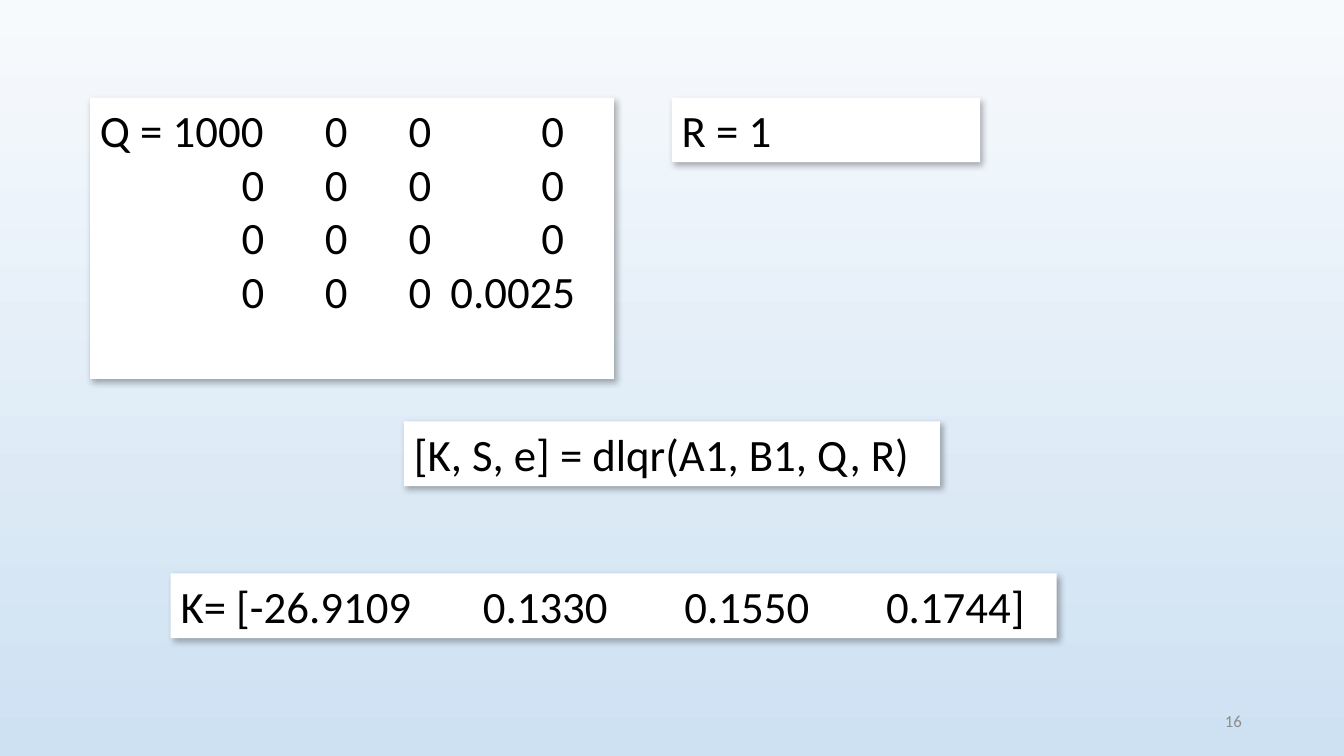
from lxml.etree import SubElement
from pptx import Presentation
from pptx.dml.color import RGBColor
from pptx.enum.shapes import MSO_SHAPE
from pptx.enum.text import MSO_ANCHOR, PP_ALIGN
from pptx.oxml.ns import qn
from pptx.util import Cm, Pt


def color(code):
    return RGBColor.from_string(code)


def write(par, text, size, code, align):
    par.alignment = align
    run = par.add_run()
    run.text = text
    run.font.size = Pt(size)
    run.font.name = "Calibri"
    run.font.color.rgb = color(code)


deck = Presentation()
deck.slide_width, deck.slide_height = Cm(33.87), Cm(19.05)
slide = deck.slides.add_slide(deck.slide_layouts[6])

# Background: pale blue, darker toward the bottom
back = slide.background.fill
back.gradient()
back.gradient_angle = 270
for stop, code in zip(back.gradient_stops, ("F7FAFD", "CEE1F2")):
    stop.color.rgb = color(code)

# Cards: left, top, width, height, lines; a line is text, tab kind, tab stops
cols = [4.14, 6.24, 8.35, 11.7]
zeros = ("\t0\t0\t0\t0", "r", cols)
cards = [
    (2.27, 2.46, 13.2, 7.09, [
        ("Q = 1000\t0\t0\t0", "r", cols[1:]),
        zeros,
        zeros,
        ("\t0\t0\t0\t0.0025", "r", cols[:3] + [11.98]),
    ]),
    (16.93, 2.46, 7.77, 1.63, [("R = 1", "l", [])]),
    (10.18, 10.62, 13.51, 1.63, [("[K, S, e] = dlqr(A1, B1, Q, R)", "l", [])]),
    (4.3, 14.45, 22.33, 1.63, [
        ("K= [-26.9109\t0.1330\t0.1550\t0.1744]", "l", [7.62, 12.7, 17.78]),
    ]),
]

for left, top, width, height, lines in cards:
    card = slide.shapes.add_shape(
        MSO_SHAPE.RECTANGLE, Cm(left), Cm(top), Cm(width), Cm(height))
    card.fill.solid()
    card.fill.fore_color.rgb = color("FFFFFF")
    card.line.fill.background()

    # Soft shadow to the lower right
    card.shadow.inherit = False
    effects = card._element.spPr.find(qn("a:effectLst"))
    shade = SubElement(effects, qn("a:outerShdw"), blurRad=str(Pt(4.5)),
                       dist=str(Pt(2.6)), dir=str(53 * 60000),
                       algn="ctr", rotWithShape="0")
    black = SubElement(shade, qn("a:srgbClr"), val="000000")
    SubElement(black, qn("a:alpha"), val="30000")

    # Lines with their tab stops
    frame = card.text_frame
    frame.word_wrap = True
    frame.vertical_anchor = MSO_ANCHOR.TOP
    for i, (text, kind, stops) in enumerate(lines):
        par = frame.add_paragraph() if i else frame.paragraphs[0]
        write(par, text, 32, "000000", PP_ALIGN.LEFT)
        if stops:
            tabs = SubElement(par._p.get_or_add_pPr(), qn("a:tabLst"))
            for pos in stops:
                SubElement(tabs, qn("a:tab"), pos=str(Cm(pos)), algn=kind)

# Slide number
box = slide.shapes.add_textbox(Cm(23.93), Cm(17.65), Cm(7.62), Cm(1.02))
box.text_frame.word_wrap = True
box.text_frame.vertical_anchor = MSO_ANCHOR.MIDDLE
write(box.text_frame.paragraphs[0], "16", 12, "8C8C8C", PP_ALIGN.RIGHT)

deck.save("out.pptx")
